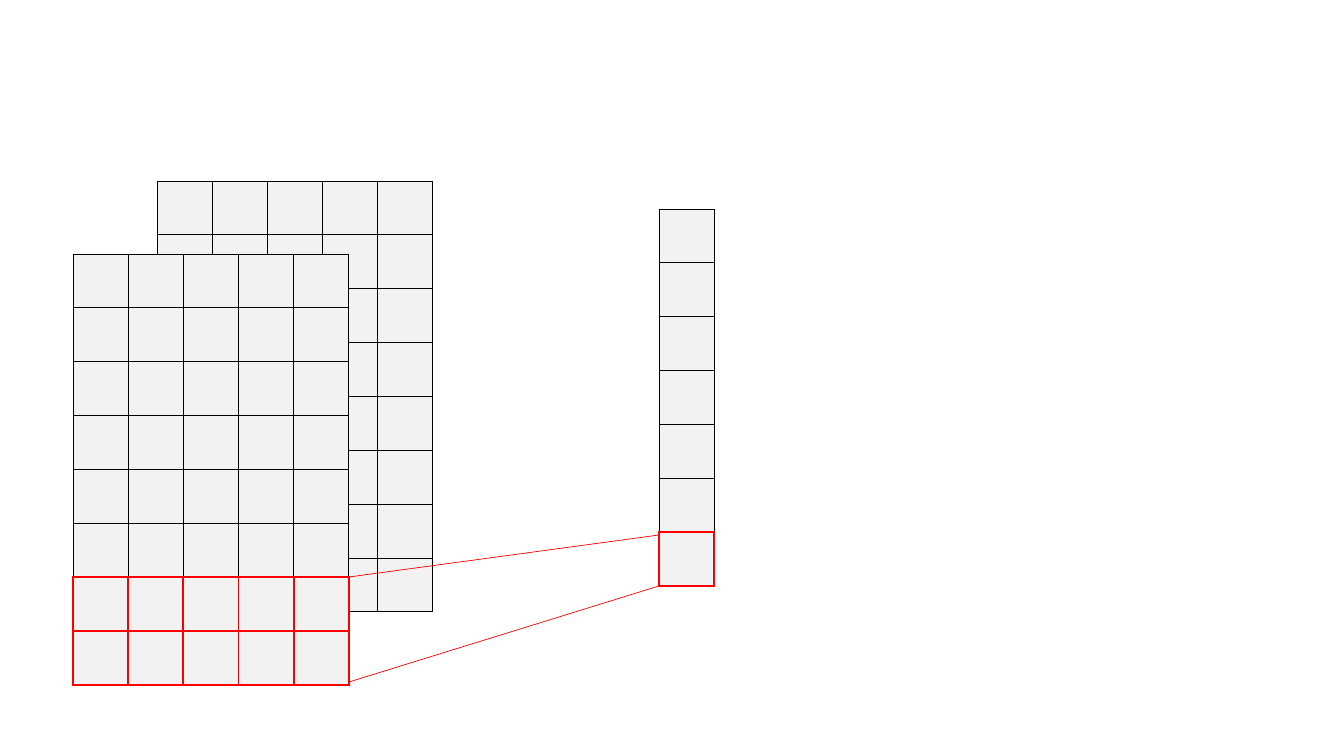
"""Build a slide on which two stacked grids feed the last cell of a column."""
from dataclasses import dataclass

from lxml import etree
from pptx import Presentation
from pptx import util as u
from pptx.dml.color import RGBColor
from pptx.enum import shapes
from pptx.oxml.ns import qn

EMU_PER_PIXEL = 914400 / 100.8


@dataclass(frozen=True)
class Theme:
    cell: str = "F2F2F2"
    grid: str = "000000"
    highlight: str = "FF0000"
    grid_width: float = 0.75
    highlight_width: float = 1.5
    projection_width: float = 0.5


@dataclass(frozen=True)
class Grid:
    left: int
    top: int
    width: int
    height: int
    columns: int
    rows: int
    highlighted_rows: int = 0


@dataclass(frozen=True)
class Projection:
    start: tuple[int, int]
    end: tuple[int, int]


THEME = Theme()
GRIDS = (
    Grid(157, 181, 276, 431, columns=5, rows=8),
    Grid(73, 254, 276, 431, columns=5, rows=8, highlighted_rows=2),
    Grid(659, 209, 55, 377, columns=1, rows=7, highlighted_rows=1),
)
PROJECTIONS = (
    Projection((349, 577), (659, 535)),
    Projection((349, 682), (659, 586)),
)


def px(pixels: float) -> u.Emu:
    return u.Emu(round(pixels * EMU_PER_PIXEL))


def add_borders(cell, highlighted: dict[str, bool]) -> None:
    properties = cell._tc.get_or_add_tcPr()
    for position, (side, is_highlighted) in enumerate(highlighted.items()):
        color = THEME.highlight if is_highlighted else THEME.grid
        width = THEME.highlight_width if is_highlighted else THEME.grid_width
        border = etree.Element(qn(f"a:ln{side}"), w=str(u.Pt(width)))
        fill = etree.SubElement(border, qn("a:solidFill"))
        etree.SubElement(fill, qn("a:srgbClr"), val=color)
        properties.insert(position, border)


def draw_grid(slide, grid: Grid) -> None:
    table = slide.shapes.add_table(
        grid.rows, grid.columns,
        px(grid.left), px(grid.top), px(grid.width), px(grid.height),
    ).table
    table.first_row = table.horz_banding = False
    for column in table.columns:
        column.width = px(grid.width / grid.columns)
    first_highlighted = grid.rows - grid.highlighted_rows
    for index, row in enumerate(table.rows):
        row.height = px(grid.height / grid.rows)
        inside = index >= first_highlighted
        below = grid.highlighted_rows > 0 and index + 1 >= first_highlighted
        for cell in row.cells:
            cell.fill.solid()
            cell.fill.fore_color.rgb = RGBColor.from_string(THEME.cell)
            add_borders(cell, {"L": inside, "R": inside, "T": inside, "B": below})


def draw_projection(slide, projection: Projection) -> None:
    line = slide.shapes.add_connector(
        shapes.MSO_CONNECTOR.STRAIGHT,
        *(px(value) for value in projection.start + projection.end),
    )
    line.line.color.rgb = RGBColor.from_string(THEME.highlight)
    line.line.width = u.Pt(THEME.projection_width)
    etree.SubElement(line._element.spPr, qn("a:effectLst"))


def main() -> None:
    deck = Presentation()
    deck.slide_width, deck.slide_height = px(1344), px(756)
    slide = deck.slides.add_slide(deck.slide_layouts[6])
    for grid in GRIDS:
        draw_grid(slide, grid)
    for projection in PROJECTIONS:
        draw_projection(slide, projection)
    deck.save("out.pptx")


main()
